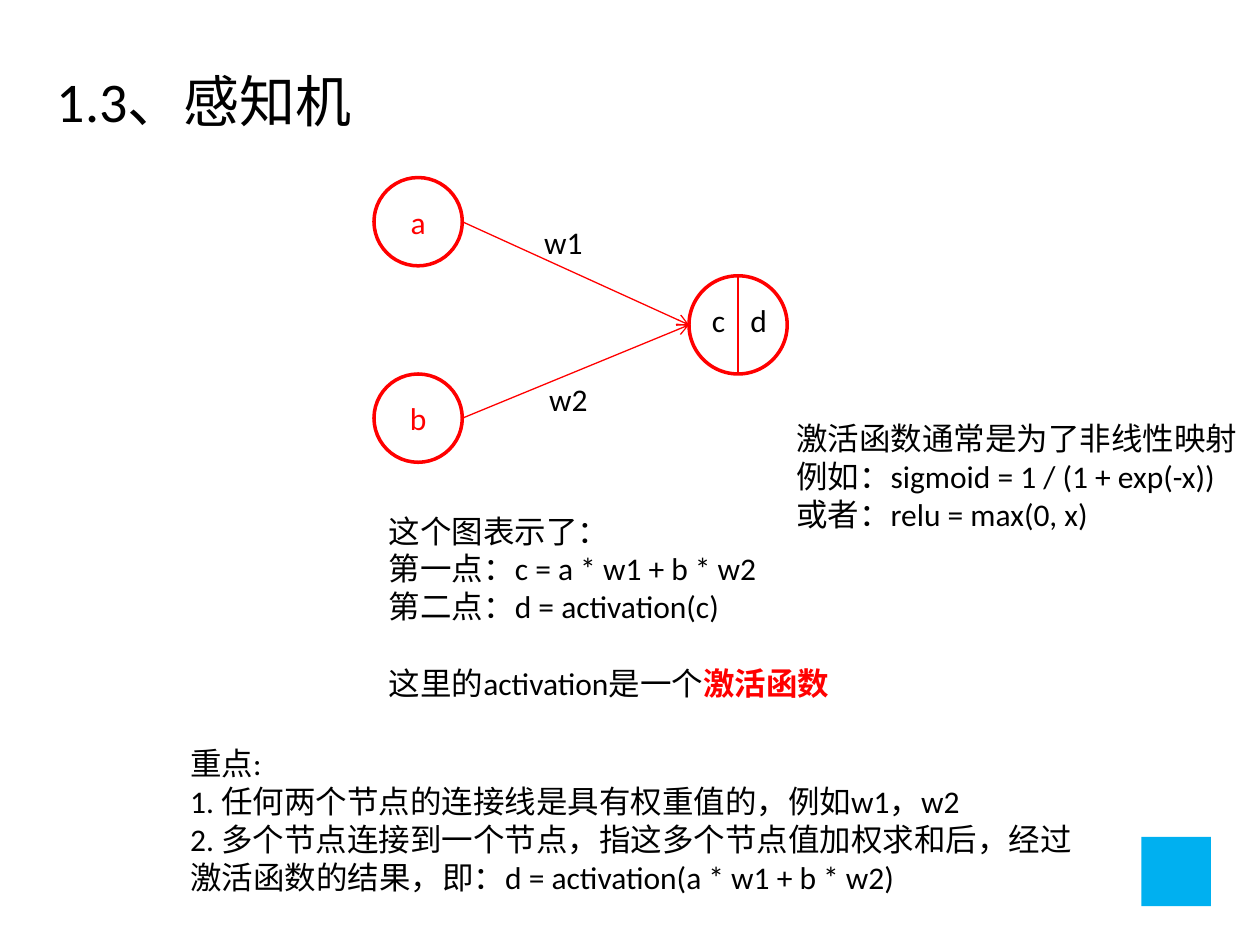
"""Build the slide that explains a perceptron."""
from lxml.etree import SubElement
from pptx import Presentation
from pptx.dml.color import RGBColor
from pptx.enum.shapes import MSO_CONNECTOR as Connector, MSO_SHAPE as Shape
from pptx.enum.text import MSO_ANCHOR as Anchor, MSO_AUTO_SIZE as AutoSize, PP_ALIGN as Align
from pptx.oxml.ns import qn
from pptx.util import Cm, Pt

BLACK = RGBColor(0x00, 0x00, 0x00)
RED = RGBColor(0xFF, 0x00, 0x00)
BLUE = RGBColor(0x00, 0xB0, 0xF0)


def write(box, lines, size=18, color=BLACK, align=Align.LEFT, anchor=Anchor.TOP, wrap=True):
    """Fill a shape with one unbulleted paragraph per line and return the paragraphs."""
    frame = box.text_frame
    frame.auto_size = AutoSize.NONE
    frame.word_wrap = wrap
    frame.vertical_anchor = anchor
    frame.text = "\n".join(lines)
    for para in frame.paragraphs:
        para.alignment = align
        para.space_before = Pt(0)
        para.font.name = "Calibri"
        para.font.size = Pt(size)
        para.font.color.rgb = color
        props = para._p.get_or_add_pPr()
        props.set("marL", "0")
        props.set("indent", "0")
        props.insert_element_before(props.makeelement(qn("a:buNone"), {}), "a:tabLst", "a:defRPr")
        for span in para.runs:
            span.font.name = "Calibri"
            span.font.size = Pt(size)
            span.font.color.rgb = color
    return frame.paragraphs


def place(box, left, top, width, height):
    """Move and size a placeholder, in centimetres."""
    box.left, box.top, box.width, box.height = map(Cm, (left, top, width, height))


def add_text(page, lines, left, top, width, height, **style):
    """Add a text box and return its paragraphs."""
    box = page.shapes.add_textbox(Cm(left), Cm(top), Cm(width), Cm(height))
    return write(box, lines, **style)


def add_node(page, center, radius, label=None):
    """Add a red ring around a centre, with an optional label."""
    x, y = center
    ring = page.shapes.add_shape(
        Shape.OVAL, Cm(x - radius), Cm(y - radius), Cm(2 * radius), Cm(2 * radius))
    ring.shadow.inherit = False
    ring.fill.background()
    ring.line.color.rgb = RED
    ring.line.width = Pt(2)
    if label:
        write(ring, [label], color=RED, align=Align.CENTER, anchor=Anchor.MIDDLE)


def add_line(page, start, end, arrow=False):
    """Add a thin red line, with an optional open arrowhead at its end."""
    line = page.shapes.add_connector(Connector.STRAIGHT, *map(Cm, (*start, *end)))
    line.line.color.rgb = RED
    line.line.width = Pt(0.75)
    if arrow:
        SubElement(line.line._get_or_add_ln(), qn("a:tailEnd"), type="arrow")
    SubElement(line._element.spPr, qn("a:effectLst"))


def add_square(page, left, top, side):
    """Add the blue corner square."""
    square = page.shapes.add_shape(Shape.RECTANGLE, Cm(left), Cm(top), Cm(side), Cm(side))
    square.shadow.inherit = False
    square.fill.solid()
    square.fill.fore_color.rgb = BLUE
    square.line.fill.background()


def add_network(page):
    """Draw two inputs joined by weighted arrows to a split output node."""
    input_radius, output_radius = 0.89, 0.99
    output_x, output_y = output = (14.88, 6.55)
    for label, center in (("a", (8.43, 4.47)), ("b", (8.43, 8.43))):
        add_node(page, center, input_radius, label)
        add_line(page, (center[0] + input_radius, center[1]),
                 (output_x - output_radius, output_y), arrow=True)
    add_node(page, output, output_radius)
    add_line(page, (output_x, output_y - output_radius), (output_x, output_y + output_radius))
    for label, left, top, width in (("w1", 10.72, 4.37, 1.3), ("w2", 10.82, 7.54, 1.3),
                                    ("c", 14.1, 5.94, 0.79), ("d", 14.88, 5.94, 0.86)):
        add_text(page, [label], left, top, width, 1.02, wrap=False)


def add_explanation(page):
    """Add the reading of the diagram, with the key term in bold red."""
    last = add_text(page, ["这个图表示了：", "第一点：c = a * w1 + b * w2", "第二点：d = activation(c)",
                           "这里的activation是一个"], 7.59, 10.19, 9.47, 4.11)[-1]
    last.space_before = Pt(22)
    term = last.add_run()
    term.text = "激活函数"
    term.font.name = "Calibri"
    term.font.size = Pt(18)
    term.font.bold = True
    term.font.color.rgb = RED


def main():
    """Build and save the deck."""
    deck = Presentation()
    deck.slide_width, deck.slide_height = Cm(25.4), Cm(19.05)
    page = deck.slides.add_slide(deck.slide_layouts[1])
    title, body = page.placeholders
    place(title, 0.89, 1.22, 6.53, 1.63)
    write(title, ["1.3、感知机"], size=32)
    place(body, 3.58, 14.88, 18.47, 3.33)
    write(body, ["重点:", "1. 任何两个节点的连接线是具有权重值的，例如w1，w2",
                 "2. 多个节点连接到一个节点，指这多个节点值加权求和后，经过",
                 "激活函数的结果，即：d = activation(a * w1 + b * w2)"])
    add_square(page, 23.01, 16.87, 1.4)
    add_network(page)
    add_explanation(page)
    add_text(page, ["激活函数通常是为了非线性映射", "例如：sigmoid = 1 / (1 + exp(-x))",
                    "或者：relu = max(0, x)"], 15.8, 8.33, 9.6, 2.57)
    deck.save("out.pptx")


if __name__ == "__main__":
    main()
